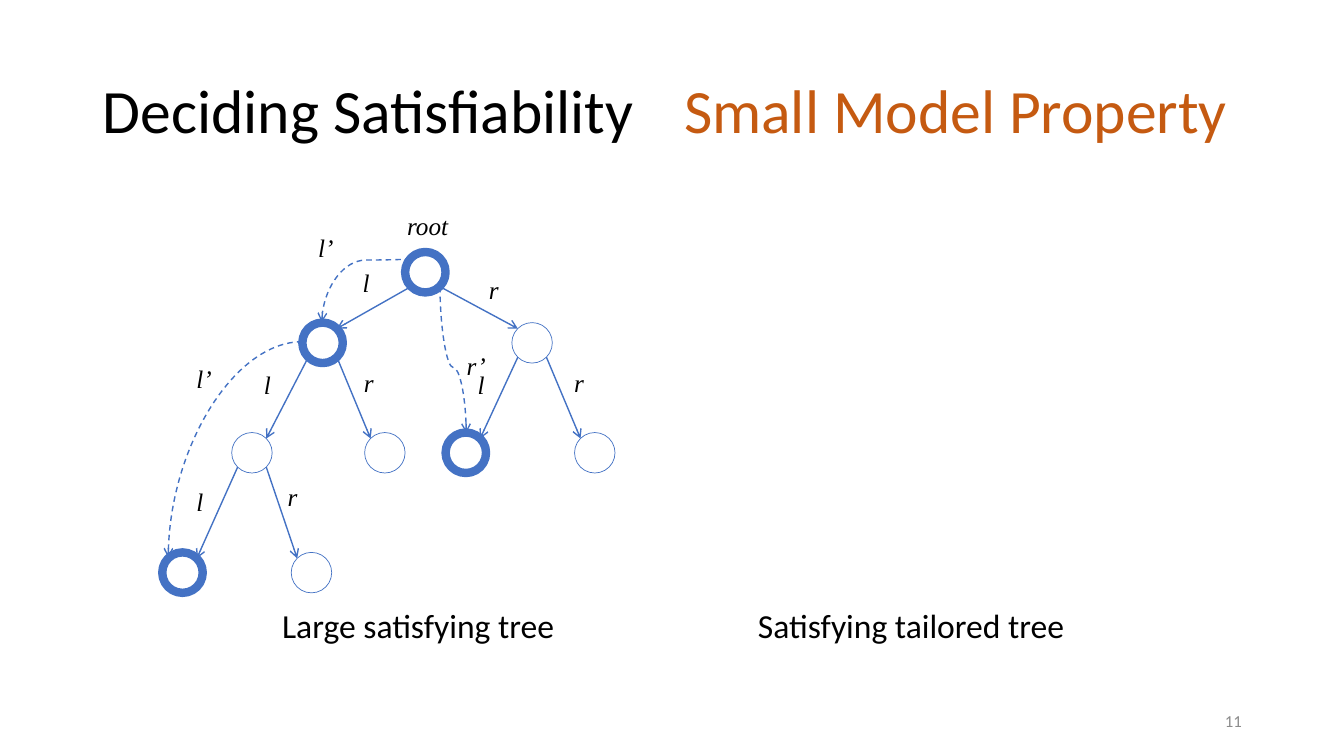
from lxml import etree
from pptx import Presentation
from pptx import util as u
from pptx.dml.color import RGBColor
from pptx.enum import dml, shapes, text
from pptx.oxml.ns import qn

BLUE, BLACK, ORANGE, GREY = "4472C4", "000000", "C55A11", "8C8C8C"
DIAMETER = 1.02
DIAGONAL = 0.36  # from a node's centre to its edge at 45 degrees

# Node: centre x, centre y, line width in points (cm, thick means selected)
NODES = {
    "root": (10.72, 6.86, 6),
    "left": (8.13, 8.64, 6),
    "right": (13.41, 8.64, 0.5),
    "left-left": (6.35, 11.41, 0.5),
    "left-right": (9.7, 11.41, 0.5),
    "right-left": (11.74, 11.41, 6),
    "right-right": (14.99, 11.41, 0.5),
    "deep-left": (4.6, 14.43, 6),
    "deep-right": (7.85, 14.43, 0.5),
}
# Parent, left child, right child
BRANCHES = [
    ("root", "left", "right"),
    ("left", "left-left", "left-right"),
    ("right", "right-left", "right-right"),
    ("left-left", "deep-left", "deep-right"),
]
# Preset, box before rotation (cm), transform, adjustment
SHORTCUTS = [
    ("curvedConnector3", (8.43, 6.2, 1.6, 2.24),
     {"rot": "16200000", "flipH": "1", "flipV": "1"}, 2100),
    ("curvedConnector2", (4.24, 8.61, 3.38, 5.44),
     {"rot": "10800000", "flipV": "1"}, None),
    ("curvedConnector3", (9.58, 8.74, 3.68, 0.66),
     {"rot": "16200000", "flipH": "1"}, 55200),
]
# Text: width, top-left corners (cm)
EDGE_LABELS = {
    "l": (0.91, [(8.89, 6.6), (6.4, 9.19), (4.7, 12.12), (11.79, 9.19)]),
    "r": (0.99, [(12.07, 6.78), (14.22, 9.14), (8.92, 9.12), (7, 12.01)]),
    "l’": (1.3, [(7.77, 5.72), (4.7, 9.04)]),
    "r’": (1.42, [(11.51, 8.71)]),
    "root": (2.13, [(10.01, 5.18)]),
}
LABEL_FONT = {"name": "Times New Roman", "size": u.Pt(18), "italic": True}
TITLE_FONT = {"name": "Calibri", "size": u.Pt(44)}
CAPTION_FONT = {"name": "Calibri", "size": u.Pt(24)}
NUMBER_FONT = {"name": "Calibri", "size": u.Pt(12)}
TITLE = ("Deciding Satisfiability", (2.34, 1.02, 14.91, 3.68))
SUBTITLE = ("Small Model Property", (16.99, 1.68, 14.55, 2.13))
CAPTIONS = [
    ("Large satisfying tree", (6.86, 15.11, 7.44, 1.27)),
    ("Satisfying tailored tree", (18.85, 15.11, 8.31, 1.27)),
]
PAGE_NUMBER = ("11", (23.93, 17.65, 7.62, 1.02))


def rgb(color):
    return RGBColor.from_string(color)


def lengths(values):
    return [u.Cm(value) for value in values]


def write(box, words, font, color, wrap=True, anchor="TOP", align="LEFT"):
    frame = box.text_frame
    frame.word_wrap = wrap
    frame.auto_size = text.MSO_AUTO_SIZE.NONE
    frame.vertical_anchor = text.MSO_ANCHOR[anchor]
    para = frame.paragraphs[0]
    para.alignment = text.PP_ALIGN[align]
    span = para.add_run()
    span.text = words
    for name, value in font.items():
        setattr(span.font, name, value)
    span.font.color.rgb = rgb(color)
    return para


def add_text(page, words, place, font, color=BLACK, **layout):
    write(page.shapes.add_textbox(*lengths(place)), words, font, color, **layout)


def add_node(page, x, y, weight):
    corner = (x - DIAMETER / 2, y - DIAMETER / 2)
    node = page.shapes.add_shape(shapes.MSO_SHAPE.OVAL,
                                 *lengths(corner + (DIAMETER, DIAMETER)))
    node.shadow.inherit = False
    node.fill.background()
    node.line.color.rgb = rgb(BLUE)
    node.line.width = u.Pt(weight)


def add_arrow(page, kind, ends):
    arrow = page.shapes.add_connector(kind, *lengths(ends))
    arrow.line.color.rgb = rgb(BLUE)
    arrow.line.width = u.Pt(1)
    properties = arrow.element.spPr
    etree.SubElement(properties, qn("a:effectLst"))
    return arrow


def add_head(arrow):
    """Put the arrowhead last, after any dash, as the schema asks."""
    line = arrow.element.spPr.find(qn("a:ln"))
    etree.SubElement(line, qn("a:tailEnd"), type="arrow")


def add_edge(page, parent, child, side):
    """Join a parent's lower diagonal to a child's upper one; side is -1 or 1."""
    (x1, y1, _), (x2, y2, _) = NODES[parent], NODES[child]
    ends = (x1 + side * DIAGONAL, y1 + DIAGONAL,
            x2 - side * DIAGONAL, y2 - DIAGONAL)
    add_head(add_arrow(page, shapes.MSO_CONNECTOR.STRAIGHT, ends))


def add_shortcut(page, preset, place, transform, adjustment):
    left, top, width, height = place
    arrow = add_arrow(page, shapes.MSO_CONNECTOR.CURVE,
                      (left, top, left + width, top + height))
    arrow.line.dash_style = dml.MSO_LINE.DASH
    add_head(arrow)
    properties = arrow.element.spPr
    for name, value in transform.items():
        properties.find(qn("a:xfrm")).set(name, value)
    geometry = properties.find(qn("a:prstGeom"))
    geometry.set("prst", preset)
    if adjustment is not None:
        etree.SubElement(geometry.find(qn("a:avLst")), qn("a:gd"),
                         name="adj1", fmla=f"val {adjustment}")


def main():
    deck = Presentation()
    deck.slide_width, deck.slide_height = lengths((33.87, 19.05))
    page = deck.slides.add_slide(deck.slide_layouts[5])

    title = page.shapes.title
    words, place = TITLE
    title.left, title.top, title.width, title.height = lengths(place)
    write(title, words, TITLE_FONT, BLACK, anchor="MIDDLE").line_spacing = 0.9
    add_text(page, *SUBTITLE, TITLE_FONT, ORANGE)

    for parent, left_child, right_child in BRANCHES:
        add_edge(page, parent, left_child, -1)
        add_edge(page, parent, right_child, 1)
    for node in NODES.values():
        add_node(page, *node)
    for shortcut in SHORTCUTS:
        add_shortcut(page, *shortcut)

    for words, (width, corners) in EDGE_LABELS.items():
        for corner in corners:
            add_text(page, words, corner + (width, 1), LABEL_FONT, wrap=False)
    for words, place in CAPTIONS:
        add_text(page, words, place, CAPTION_FONT, wrap=False)
    add_text(page, *PAGE_NUMBER, NUMBER_FONT, GREY, anchor="MIDDLE", align="RIGHT")
    deck.save("out.pptx")


if __name__ == "__main__":
    main()
